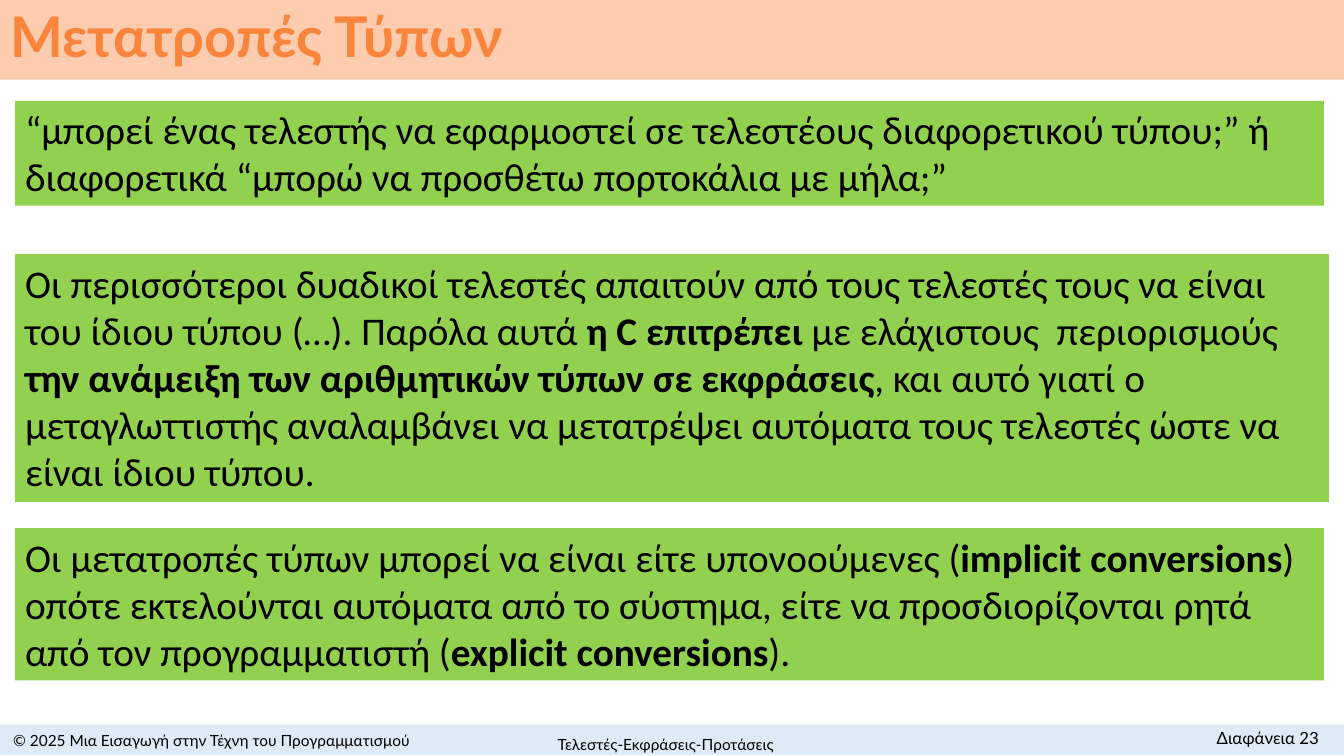
from pptx import Presentation
from pptx.dml.color import RGBColor
from pptx.enum.shapes import MSO_SHAPE
from pptx.enum.text import MSO_ANCHOR, MSO_AUTO_SIZE, PP_ALIGN
from pptx.util import Inches, Pt

RECTANGLE = MSO_SHAPE.RECTANGLE
TOP, MIDDLE = MSO_ANCHOR.TOP, MSO_ANCHOR.MIDDLE
LEFT, CENTER, RIGHT = PP_ALIGN.LEFT, PP_ALIGN.CENTER, PP_ALIGN.RIGHT
NO_AUTOFIT = MSO_AUTO_SIZE.NONE

BLACK = RGBColor(0x00, 0x00, 0x00)
ORANGE = RGBColor(0xF9, 0x85, 0x3D)
PEACH = RGBColor(0xFD, 0xCB, 0xAD)
GREEN = RGBColor(0x92, 0xD0, 0x50)
PALE_BLUE = RGBColor(0xDE, 0xEB, 0xF7)

SLIDE_WIDTH = 13.33

STATEMENTS = [
    (1, 12.98, 1.04, [
        ("“μπορεί ένας τελεστής να εφαρμοστεί σε τελεστέους διαφορετικού τύπου;” "
         "ή διαφορετικά “μπορώ να προσθέτω πορτοκάλια με μήλα;”", False),
    ]),
    (2.52, 13.03, 2.46, [
        ("Οι περισσότεροι δυαδικοί τελεστές απαιτούν από τους τελεστές τους να "
         "είναι του ίδιου τύπου (…). Παρόλα αυτά ", False),
        ("η C επιτρέπει ", True),
        ("με ελάχιστους  περιορισμούς ", False),
        ("την ανάμειξη των αριθμητικών τύπων σε εκφράσεις", True),
        (", και αυτό γιατί ο μεταγλωττιστής αναλαμβάνει να μετατρέψει αυτόματα "
         "τους τελεστές ώστε να είναι ίδιου τύπου.", False),
    ]),
    (5.24, 12.98, 1.51, [
        ("Οι μετατροπές τύπων μπορεί να είναι είτε υπονοούμενες (", False),
        ("implicit conversions", True),
        (") οπότε εκτελούνται αυτόματα από το σύστημα, είτε να προσδιορίζονται "
         "ρητά από τον προγραμματιστή (", False),
        ("explicit conversions", True),
        (").", False),
    ]),
]

FOOTERS = [
    ("© 2025 Μια Εισαγωγή στην Τέχνη του Προγραμματισμού",
     (0, 7.22, 4.2, 0.26), 11, CENTER, MIDDLE),
    ("Διαφάνεια 23", (11.12, 7.17, 2.06, 0.3), 12, RIGHT, TOP),
    ("Τελεστές-Εκφράσεις-Προτάσεις",
     (4.07, 7.23, 5.07, 0.3), 11, CENTER, MIDDLE),
]


def format_run(run, name, size, color, bold=False):
    run.font.name = name
    run.font.size = Pt(size)
    run.font.color.rgb = color
    run.font.bold = bold


def fill_solid(shape, color):
    shape.fill.solid()
    shape.fill.fore_color.rgb = color


def set_title(slide, text):
    title = slide.shapes.title
    title.left, title.top = Inches(0), Inches(0)
    title.width, title.height = Inches(SLIDE_WIDTH), Inches(0.79)
    fill_solid(title, PEACH)
    text_frame = title.text_frame
    text_frame.text = text
    text_frame.auto_size = NO_AUTOFIT
    text_frame.vertical_anchor = MIDDLE
    paragraph = text_frame.paragraphs[0]
    paragraph.alignment = LEFT
    paragraph.line_spacing = 0.9
    format_run(paragraph.runs[0], "Lato", 40, ORANGE, True)


def add_band(slide, box, color):
    shape = slide.shapes.add_shape(RECTANGLE, *map(Inches, box))
    shape.shadow.inherit = False
    fill_solid(shape, color)
    shape.line.fill.background()
    return shape


def add_statement(slide, top, width, height, segments):
    text_frame = add_band(slide, (0.15, top, width, height), GREEN).text_frame
    text_frame.word_wrap = True
    text_frame.vertical_anchor = TOP
    paragraph = text_frame.paragraphs[0]
    paragraph.alignment = LEFT
    for text, bold in segments:
        run = paragraph.add_run()
        run.text = text
        format_run(run, "Calibri", 28, BLACK, bold)


def add_footer(slide, text, box, size, alignment, anchor):
    text_frame = slide.shapes.add_textbox(*map(Inches, box)).text_frame
    text_frame.text = text
    text_frame.word_wrap = True
    text_frame.vertical_anchor = anchor
    paragraph = text_frame.paragraphs[0]
    paragraph.alignment = alignment
    format_run(paragraph.runs[0], "Lato", size, BLACK)


def main():
    presentation = Presentation()
    presentation.slide_width = Inches(SLIDE_WIDTH)
    presentation.slide_height = Inches(7.5)
    slide = presentation.slides.add_slide(presentation.slide_layouts[5])
    set_title(slide, "Μετατροπές Τύπων")
    add_band(slide, (0, 7.19, SLIDE_WIDTH, 0.3), PALE_BLUE)
    for footer in FOOTERS:
        add_footer(slide, *footer)
    for statement in STATEMENTS:
        add_statement(slide, *statement)
    presentation.save("out.pptx")


if __name__ == "__main__":
    main()
